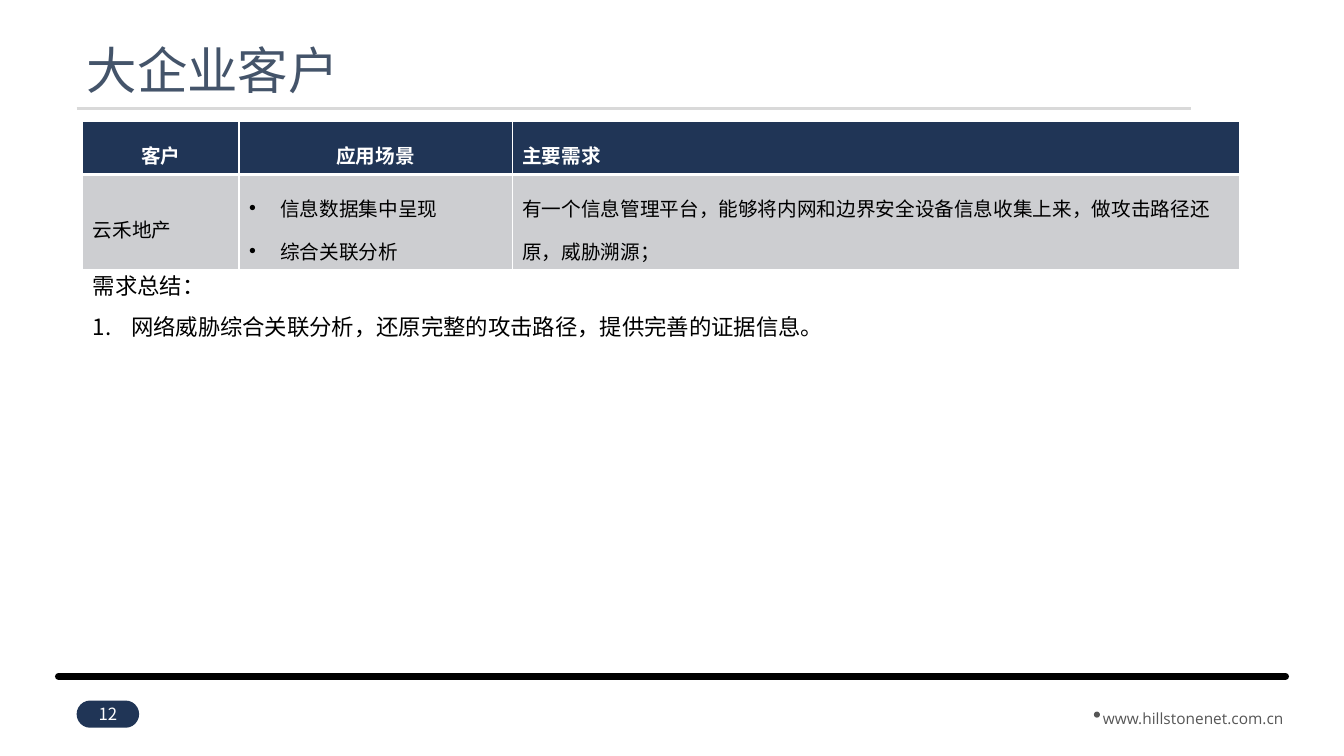
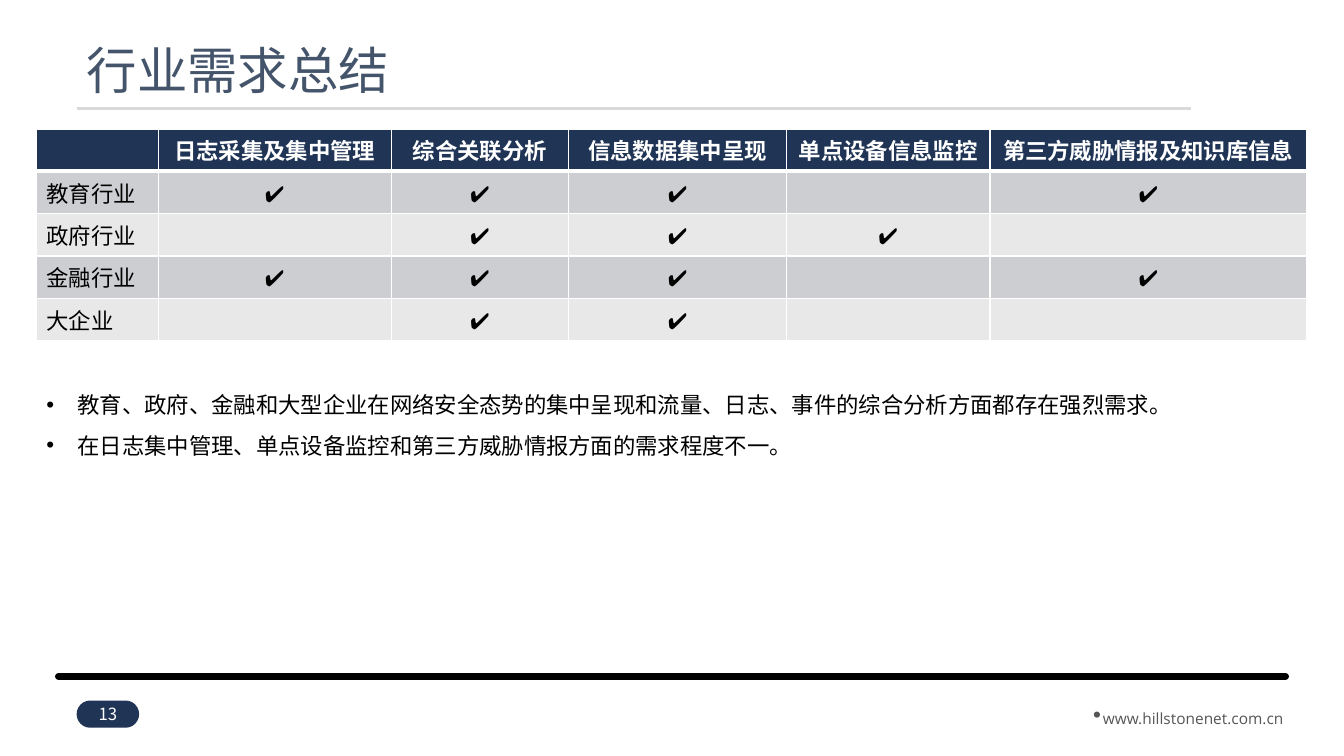
from dataclasses import dataclass

from lxml import etree
from pptx import Presentation
from pptx.dml.color import RGBColor
from pptx.enum.shapes import MSO_CONNECTOR, MSO_SHAPE
from pptx.enum.text import MSO_ANCHOR, MSO_AUTO_SIZE, PP_ALIGN
from pptx.oxml.ns import qn
from pptx.util import Inches, Pt

NAVY = RGBColor(0x20, 0x35, 0x56)
SLATE = RGBColor(0x44, 0x54, 0x6A)
GREY = RGBColor(0x56, 0x56, 0x56)
RULE = RGBColor(0xD9, 0xD9, 0xD9)
BANDS = (RGBColor(0xCD, 0xCE, 0xD1), RGBColor(0xE8, 0xE8, 0xE9))
BLACK = RGBColor(0, 0, 0)
WHITE = RGBColor(0xFF, 0xFF, 0xFF)

SANS = "Noto Sans CJK SC"
LATIN = "Open Sans"
LEFT, CENTER = PP_ALIGN.LEFT, PP_ALIGN.CENTER
TOP, MIDDLE = MSO_ANCHOR.TOP, MSO_ANCHOR.MIDDLE
FIT, FIXED = MSO_AUTO_SIZE.SHAPE_TO_FIT_TEXT, MSO_AUTO_SIZE.NONE
STRAIGHT = MSO_CONNECTOR.STRAIGHT
OVAL, PILL = MSO_SHAPE.OVAL, MSO_SHAPE.ROUNDED_RECTANGLE

DOT, NUM = "•", "1."
TICK = "✔"


@dataclass(frozen=True)
class Style:
    size: float
    color: RGBColor = BLACK
    bold: bool = False
    font: str = SANS


@dataclass(frozen=True)
class Item:
    text: str
    mark: str = ""
    indent: float = 0


@dataclass(frozen=True)
class Grid:
    left: float
    top: float
    cols: tuple
    rows: tuple
    size: float
    heads: tuple
    cells: tuple
    anchor: MSO_ANCHOR
    space: float


@dataclass(frozen=True)
class Page:
    number: int
    title: str
    grid: Grid
    left: float
    top: float
    notes: tuple


def bullet(text: str) -> Item:
    return Item(text, DOT, 0.31)


def box(*sides: float) -> list:
    return [Inches(side) for side in sides]


def place(shape, *sides: float) -> None:
    shape.left, shape.top, shape.width, shape.height = box(*sides)


def write(para, text: str, style: Style, align=LEFT, space: float = 1) -> None:
    para.alignment = align
    para.line_spacing = space
    para.space_before = Pt(0)
    run = para.add_run()
    run.text = text
    font = run.font
    font.name, font.size, font.bold = style.font, Pt(style.size), style.bold
    font.color.rgb = style.color
    east = etree.SubElement(font._element, qn("a:ea"))
    east.set("typeface", style.font)


def mark(para, item: Item) -> None:
    """Set the indent and the bullet, number or lack of either."""
    props = para._p.get_or_add_pPr()
    props.set("marL", str(Inches(item.indent)))
    props.set("indent", str(-Inches(item.indent)))
    if item.mark == DOT:
        etree.SubElement(props, qn("a:buFont")).set("typeface", "Arial")
        etree.SubElement(props, qn("a:buChar")).set("char", DOT)
    elif item.mark == NUM:
        etree.SubElement(props, qn("a:buAutoNum")).set("type", "arabicPeriod")
    else:
        etree.SubElement(props, qn("a:buNone"))


def fill(frame, items: tuple, style: Style, align=LEFT, space: float = 1) -> None:
    for i, item in enumerate(items):
        para = frame.add_paragraph() if i else frame.paragraphs[0]
        mark(para, item)
        write(para, item.text, style, align, space)


def line(slide, start: float, end: float, y: float, color: RGBColor, width: float):
    link = slide.shapes.add_connector(STRAIGHT, *box(start, y, end, y))
    link.line.color.rgb = color
    link.line.width = Pt(width)
    etree.SubElement(link._element.spPr, qn("a:effectLst"))
    return link


def solid(slide, kind, color: RGBColor, *sides: float):
    shape = slide.shapes.add_shape(kind, *box(*sides))
    shape.shadow.inherit = False
    shape.fill.solid()
    shape.fill.fore_color.rgb = color
    shape.line.fill.background()
    return shape


def frame(slide, page: Page) -> None:
    """Draw the title, rules, web address and page number."""
    base = line(slide, 0.58, 12.75, 6.71, BLACK, 5)
    base.line._get_or_add_ln().set("cap", "rnd")
    site = slide.shapes.add_textbox(*box(10.67, 6.89, 2.33, 0.38)).text_frame
    site.word_wrap = True
    site.auto_size = FIT
    address = Style(11, GREY, font=LATIN)
    write(site.paragraphs[0], "www.hillstonenet.com.cn", address, CENTER, 1.5)
    solid(slide, OVAL, GREY, 10.85, 7.06, 0.06, 0.06)
    line(slide, 0.76, 11.81, 1.08, RULE, 2)

    title = slide.shapes.title
    place(title, 0.76, 0.4, 10.73, 0.66)
    title.text_frame.auto_size = FIXED
    title.text_frame.vertical_anchor = MIDDLE
    write(title.text_frame.paragraphs[0], page.title, Style(36, SLATE), space=0.9)

    pill = solid(slide, PILL, NAVY, 0.76, 6.95, 0.62, 0.27)
    pill.adjustments[0] = 0.5
    pill.text_frame.vertical_anchor = MIDDLE
    write(pill.text_frame.paragraphs[0], str(page.number), Style(12, WHITE), CENTER)


def edge(cell, row: int) -> None:
    """Add white borders, thicker where the header meets the body."""
    props = cell._tc.get_or_add_tcPr()
    thick = {"B": row == 0, "T": row == 1}
    for i, side in enumerate("LRTB"):
        rim = etree.Element(qn(f"a:ln{side}"))
        rim.set("w", str(Pt(3 if thick.get(side) else 1)))
        paint = etree.SubElement(rim, qn("a:solidFill"))
        etree.SubElement(paint, qn("a:srgbClr")).set("val", str(WHITE))
        props.insert(i, rim)


def draw(slide, grid: Grid) -> None:
    rows = (tuple((Item(head),) if head else () for head, _ in grid.heads),) + grid.cells
    size = box(grid.left, grid.top, sum(grid.cols), sum(grid.rows))
    table = slide.shapes.add_table(len(rows), len(grid.cols), *size).table
    for col, width in zip(table.columns, grid.cols):
        col.width = Inches(width)
    for row, height in zip(table.rows, grid.rows):
        row.height = Inches(height)
    for r, row in enumerate(rows):
        for c, items in enumerate(row):
            cell = table.cell(r, c)
            cell.vertical_anchor = grid.anchor
            cell.fill.solid()
            cell.fill.fore_color.rgb = BANDS[(r - 1) % 2] if r else NAVY
            edge(cell, r)
            style = Style(grid.size) if r else Style(grid.size, WHITE, True)
            ticked = any(item.text == TICK for item in items)
            align = (CENTER if ticked else LEFT) if r else grid.heads[c][1]
            fill(cell.text_frame, items, style, align, grid.space)


def build(deck, page: Page) -> None:
    slide = deck.slides.add_slide(deck.slide_layouts[1])
    frame(slide, page)
    draw(slide, page.grid)
    body = slide.placeholders[1]
    place(body, page.left, page.top, 11.57, 0.86)
    body.text_frame.auto_size = FIT
    body.text_frame.vertical_anchor = TOP
    fill(body.text_frame, page.notes, Style(16), space=1.5)


def ticks(name: str, flags: str) -> tuple:
    """Make a row from a name and one 1 or 0 per column."""
    return ((Item(name),),) + tuple((Item(TICK),) if f == "1" else () for f in flags)


CLIENTS = Grid(
    0.82, 1.2, (1.55, 2.71, 7.21), (0.53, 0.94), 14,
    (("客户", CENTER), ("应用场景", CENTER), ("主要需求", LEFT)),
    ((
        (Item("云禾地产"),),
        (bullet("信息数据集中呈现"), bullet("综合关联分析")),
        (Item("有一个信息管理平台，能够将内网和边界安全设备信息收集上来，"
              "做攻击路径还原，威胁溯源；"),),
    ),),
    MIDDLE, 1.5,
)
NEEDS = Grid(
    0.36, 1.28, (1.21, 2.31, 1.76, 2.16, 2.02, 3.14), (0.42,) * 5, 16,
    tuple((head, CENTER) for head in (
        "", "日志采集及集中管理", "综合关联分析", "信息数据集中呈现",
        "单点设备信息监控", "第三方威胁情报及知识库信息",
    )),
    (
        ticks("教育行业", "11101"),
        ticks("政府行业", "01110"),
        ticks("金融行业", "11101"),
        ticks("大企业", "01100"),
    ),
    TOP, 1,
)
PAGES = (
    Page(12, "大企业客户", CLIENTS, 0.82, 2.52, (
        Item("需求总结："),
        Item("网络威胁综合关联分析，还原完整的攻击路径，提供完善的证据信息。", NUM, 0.38),
    )),
    Page(13, "行业需求总结", NEEDS, 0.36, 3.7, (
        bullet("教育、政府、金融和大型企业在网络安全态势的集中呈现和流量、日志、"
               "事件的综合分析方面都存在强烈需求。"),
        bullet("在日志集中管理、单点设备监控和第三方威胁情报方面的需求程度不一。"),
    )),
)


def main() -> None:
    deck = Presentation()
    deck.slide_width, deck.slide_height = box(13.33, 7.5)
    for page in PAGES:
        build(deck, page)
    deck.save("out.pptx")


if __name__ == "__main__":
    main()
